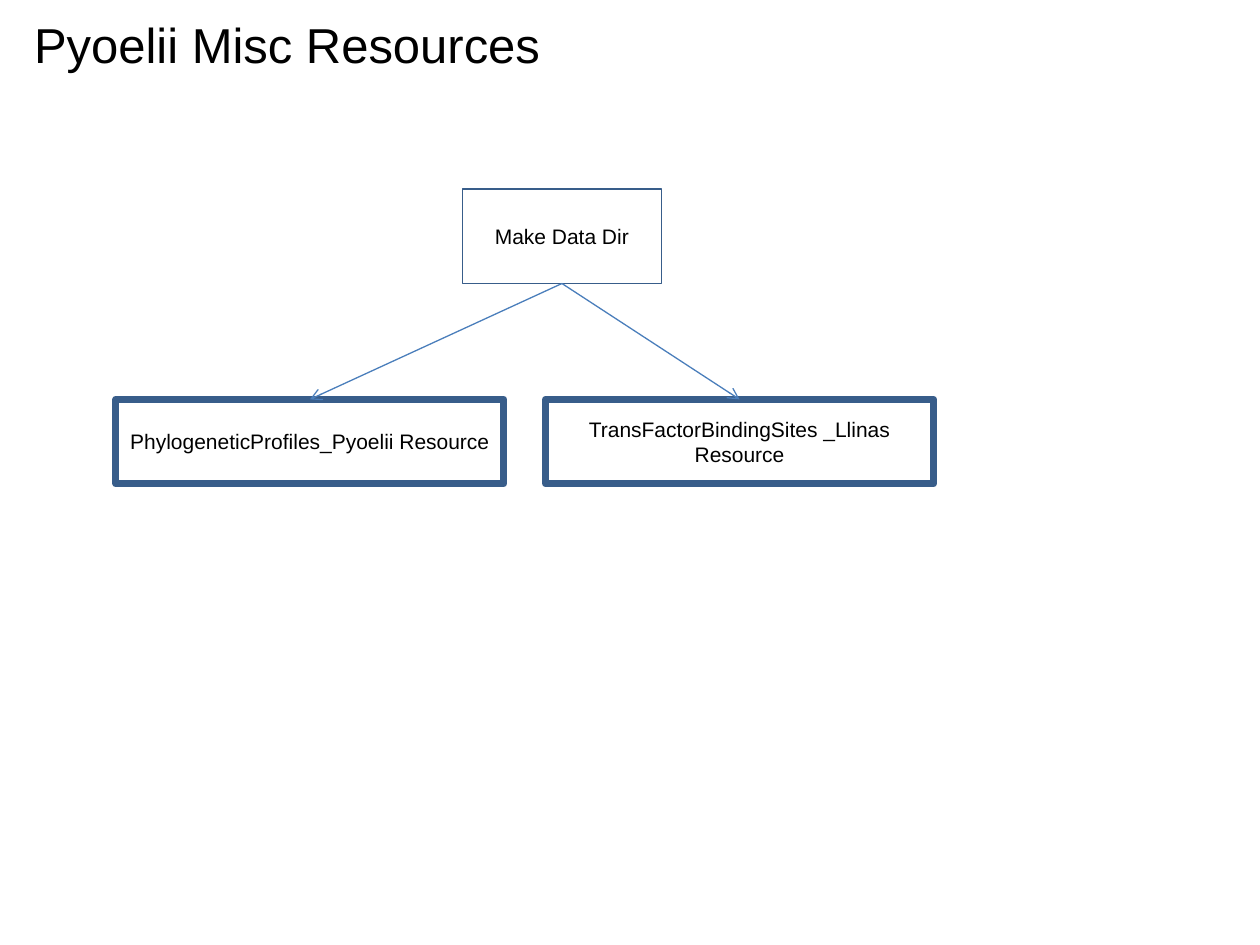
import pptx
import pptx.util
import pptx.dml.color
import pptx.enum.shapes
import pptx.enum.text
import pptx.oxml
import pptx.oxml.ns

Inches, Pt = pptx.util.Inches, pptx.util.Pt
ALIGN = pptx.enum.text.PP_ALIGN

COLORS = {"text": "000000", "border": "385D8A", "arrow": "4A7EBB"}
FONT = "Arial"
TITLE = "Pyoelii Misc Resources"

# Content: text, (left, top, width, height) in inches, border in points
ROOT = ("Make Data Dir", (3.67, 1.5, 1.58, 0.75), 1)
RESOURCES = [
    ("PhylogeneticProfiles_Pyoelii Resource", (0.92, 3.17, 3.08, 0.67), 4),
    ("TransFactorBindingSites _Llinas Resource", (4.33, 3.17, 3.08, 0.67), 4),
]
BOTTOM_SITE, TOP_SITE = 2, 0


def color(name):
    return pptx.dml.color.RGBColor.from_string(COLORS[name])


def write(shape, text, size, alignment):
    frame = shape.text_frame
    frame.word_wrap = True
    frame.auto_size = pptx.enum.text.MSO_AUTO_SIZE.NONE
    frame.vertical_anchor = pptx.enum.text.MSO_ANCHOR.MIDDLE
    frame.margin_left = frame.margin_right = Inches(0.1)
    frame.margin_top = frame.margin_bottom = Inches(0.05)
    para = frame.paragraphs[0]
    para.text = text
    para.alignment = alignment
    para.font.name = FONT
    para.font.size = Pt(size)
    para.font.color.rgb = color("text")


def add_box(slide, text, place, border):
    box = slide.shapes.add_shape(
        pptx.enum.shapes.MSO_SHAPE.RECTANGLE, *map(Inches, place))
    box.shadow.inherit = False
    box.fill.background()
    box.line.color.rgb = color("border")
    box.line.width = Pt(border)
    write(box, text, 12, ALIGN.CENTER)
    return box


def add_arrow(slide, parent, child):
    arrow = slide.shapes.add_connector(
        pptx.enum.shapes.MSO_CONNECTOR.STRAIGHT, 0, 0, 0, 0)
    arrow.begin_connect(parent, BOTTOM_SITE)
    arrow.end_connect(child, TOP_SITE)
    arrow.line.color.rgb = color("arrow")
    arrow.line.width = Pt(0.75)
    namespace = pptx.oxml.ns.nsdecls("a")
    arrow.line._get_or_add_ln().append(
        pptx.oxml.parse_xml(f'<a:tailEnd {namespace} type="arrow"/>'))
    arrow._element.spPr.append(
        pptx.oxml.parse_xml(f"<a:effectLst {namespace}/>"))


def main():
    deck = pptx.Presentation()
    deck.slide_width, deck.slide_height = Inches(10), Inches(7.5)
    slide = deck.slides.add_slide(deck.slide_layouts[5])  # Title Only

    # Title
    title = slide.shapes.title
    title.left, title.top = Inches(0.17), Inches(0.08)
    title.width, title.height = Inches(5.58), Inches(0.53)
    write(title, TITLE, 28, ALIGN.LEFT)

    # Root step with an arrow to each resource
    root = add_box(slide, *ROOT)
    for resource in RESOURCES:
        add_arrow(slide, root, add_box(slide, *resource))

    deck.save("out.pptx")


if __name__ == "__main__":
    main()
